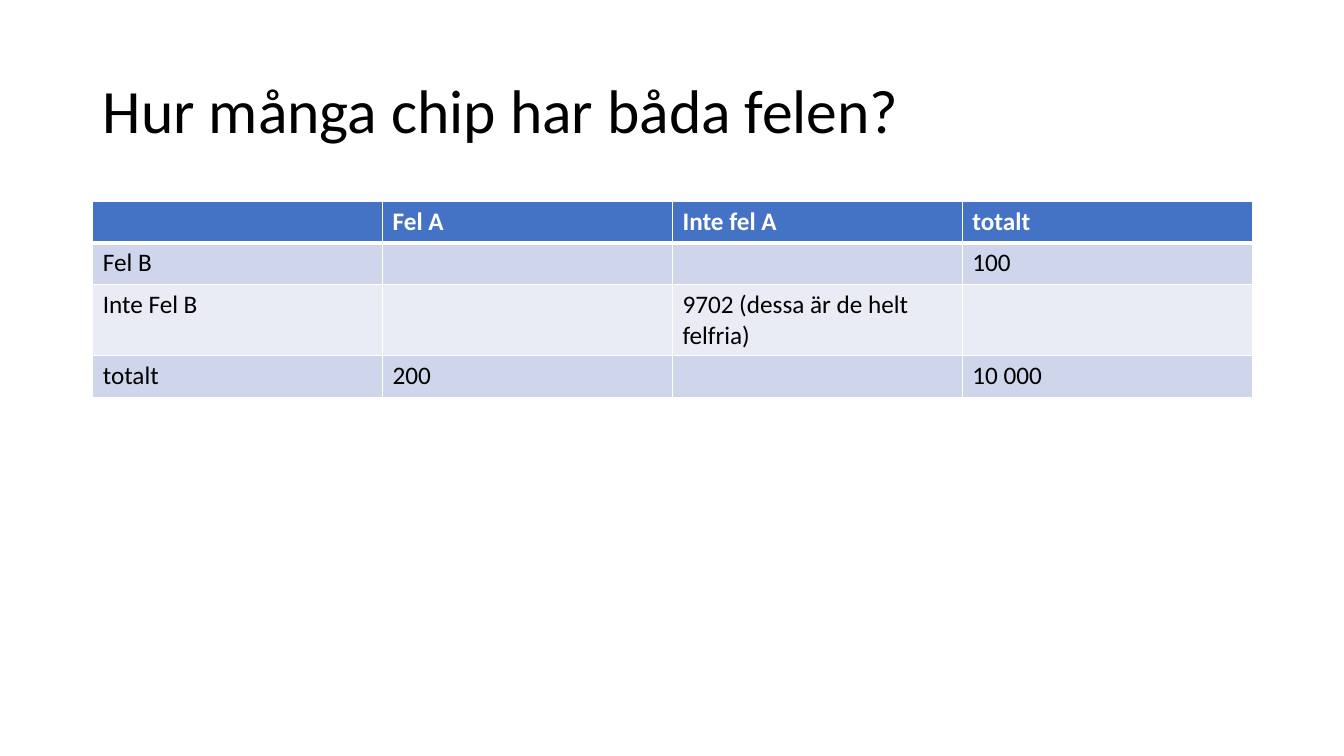
import dataclasses

import lxml.etree
import pptx
import pptx.dml.color
import pptx.enum.text
import pptx.oxml.ns
import pptx.table
import pptx.text.text
import pptx.util

Inches = pptx.util.Inches
COLORS = {
    "text": "000000",
    "white": "FFFFFF",
    "header": "4472C4",
    "dark_band": "CFD5EA",
    "light_band": "E9EBF5",
}
FONT = "Calibri"
COLUMN_WIDTH = 2.875
ROW_HEIGHT = 0.41


@dataclasses.dataclass
class FaultRow:
    texts: tuple[str, ...]
    fill: str
    color: str = "text"
    bold: bool = False
    top: float = 1
    bottom: float = 1


FAULT_ROWS = [
    FaultRow(("", "Fel A", "Inte fel A", "totalt"), "header", "white", True, bottom=3),
    FaultRow(("Fel B", "", "", "100"), "dark_band", top=3),
    FaultRow(("Inte Fel B", "", "9702 (dessa är de helt felfria)", ""), "light_band"),
    FaultRow(("totalt", "200", "", "10 000"), "dark_band"),
]


def rgb(name: str) -> pptx.dml.color.RGBColor:
    return pptx.dml.color.RGBColor.from_string(COLORS[name])


def format_text(paragraph: pptx.text.text._Paragraph, size: float, color: str, bold: bool) -> None:
    paragraph.alignment = pptx.enum.text.PP_ALIGN.LEFT
    for run in paragraph.runs:
        run.font.name = FONT
        run.font.size = pptx.util.Pt(size)
        run.font.bold = bold
        run.font.color.rgb = rgb(color)


def add_border(cell: pptx.table._Cell, side: str, width: float) -> None:
    qn = pptx.oxml.ns.qn
    line = lxml.etree.SubElement(
        cell._tc.get_or_add_tcPr(), qn(f"a:ln{side}"), w=str(pptx.util.Pt(width)))
    line_fill = lxml.etree.SubElement(line, qn("a:solidFill"))
    lxml.etree.SubElement(line_fill, qn("a:srgbClr"), val=COLORS["white"])


def fill_cell(cell: pptx.table._Cell, text: str, row: FaultRow) -> None:
    for side, width in (("L", 1), ("R", 1), ("T", row.top), ("B", row.bottom)):
        add_border(cell, side, width)
    cell.fill.solid()
    cell.fill.fore_color.rgb = rgb(row.fill)
    if text:
        cell.text_frame.text = text
        format_text(cell.text_frame.paragraphs[0], 18, row.color, row.bold)


def main() -> None:
    presentation = pptx.Presentation()
    presentation.slide_width = Inches(13.33)
    presentation.slide_height = Inches(7.5)
    slide = presentation.slides.add_slide(presentation.slide_layouts[5])

    # Title
    question = slide.shapes.title
    question.left, question.top = Inches(0.92), Inches(0.4)
    question.width, question.height = Inches(11.5), Inches(1.45)
    question.text_frame.text = "Hur många chip har båda felen?"
    question.text_frame.vertical_anchor = pptx.enum.text.MSO_ANCHOR.MIDDLE
    question.text_frame.paragraphs[0].line_spacing = 0.9
    format_text(question.text_frame.paragraphs[0], 44, "text", False)

    # Table of faults
    column_count = len(FAULT_ROWS[0].texts)
    faults = slide.shapes.add_table(
        len(FAULT_ROWS), column_count, Inches(0.92), Inches(2),
        Inches(COLUMN_WIDTH * column_count), Inches(ROW_HEIGHT * len(FAULT_ROWS))).table
    for row_index, row in enumerate(FAULT_ROWS):
        for column_index, text in enumerate(row.texts):
            fill_cell(faults.cell(row_index, column_index), text, row)

    presentation.save("out.pptx")


if __name__ == "__main__":
    main()
